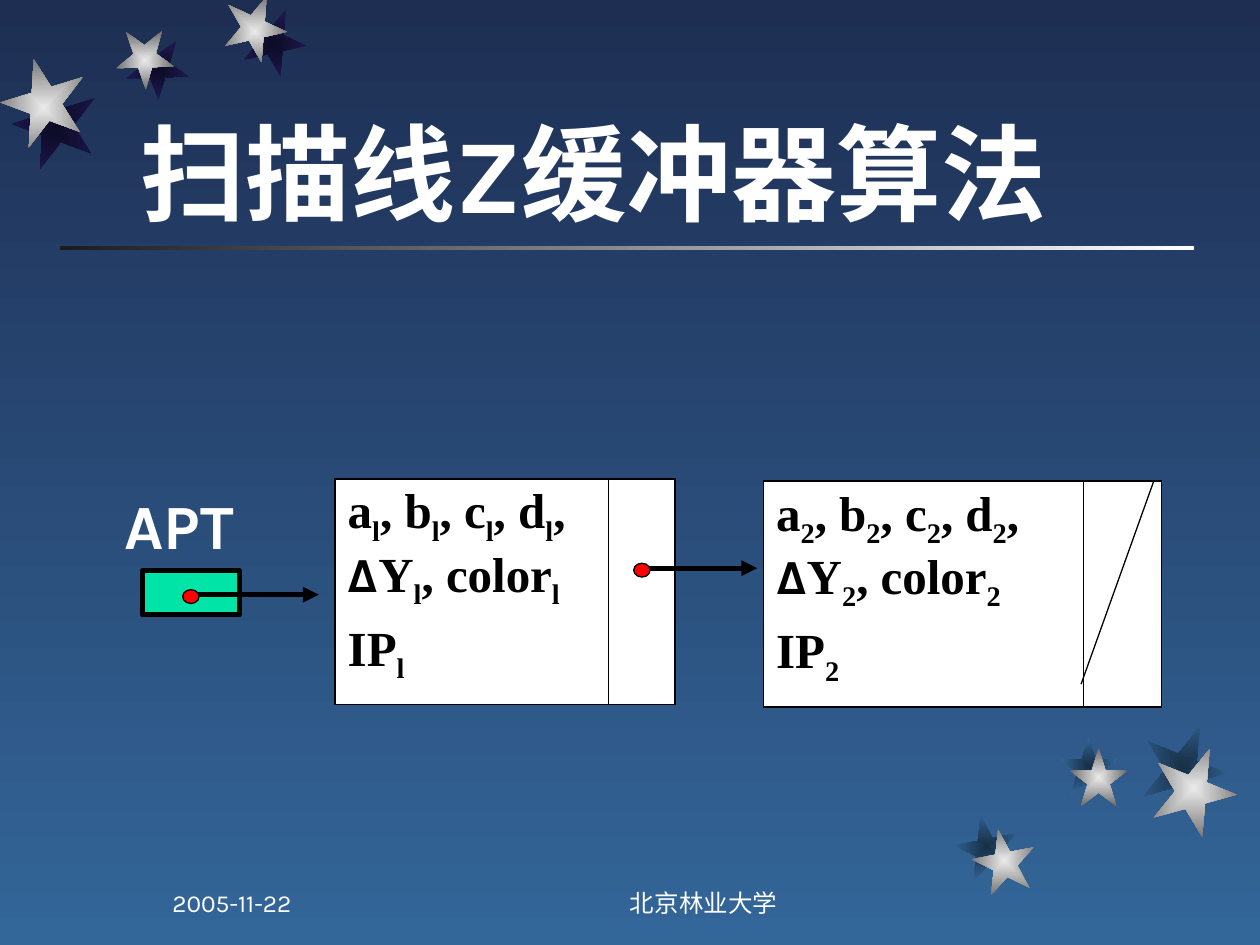
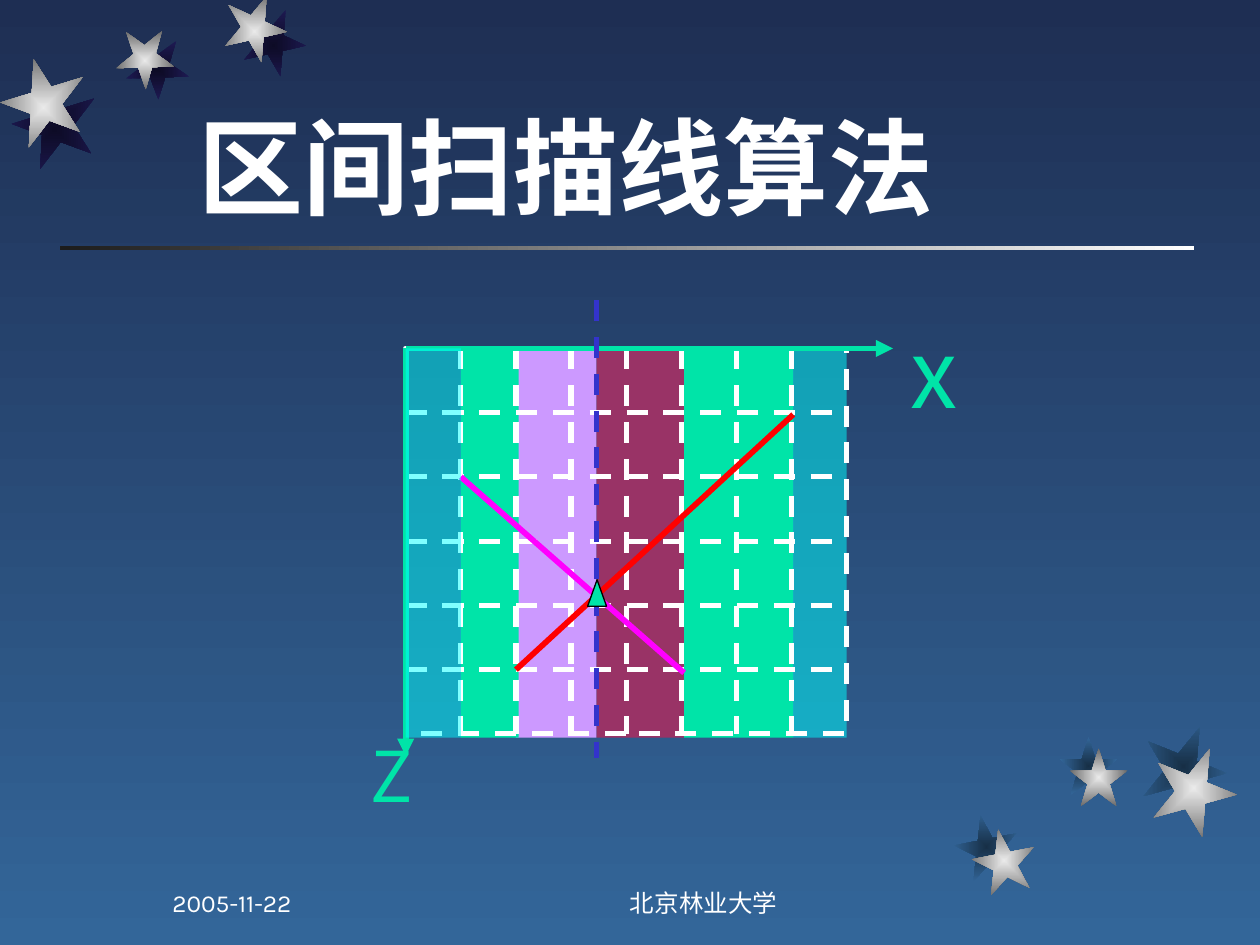
from typing import NamedTuple

from lxml import etree
from pptx import Presentation
from pptx import util as u
from pptx.dml.color import RGBColor
from pptx.enum import dml, shapes, text
from pptx.oxml import ns

COLUMNS, ROWS = 100, 75
UNIT = u.Inches(10) // COLUMNS

WHITE, BLACK = "FFFFFF", "000000"
GREEN, CYAN, PURPLE, CRIMSON = "00E4A8", "00FFFF", "CC99FF", "993366"
RED, MAGENTA, BLUE = "FF0000", "FF00FF", "3333CC"
SKY = ("1E2E53", "336699")
SILVER = ("EAEAEA", "6B6B6B")
NIGHT_SHADE = ("0D0B26", "1E1A53")
DUSK_SHADE = ("172F46", "336699")
BODY, SERIF, CJK = "Karla", "Times New Roman", "Noto Sans CJK SC"


class Box(NamedTuple):
    """Left, top, width and height in grid units of the slide."""
    x: float
    y: float
    w: float
    h: float

    def inner(self, dx, dy, w, h):
        return Box(self.x + dx, self.y + dy, w, h)

    def lengths(self):
        return [grid(value) for value in self]


def grid(value):
    return round(value * UNIT)


def colour(code):
    return RGBColor.from_string(code)


def add_xml(parent, tag, **attributes):
    return etree.SubElement(parent, ns.qn(tag), attributes)


def shade(fill, colours, angle):
    fill.gradient()
    fill.gradient_angle = angle
    for stop, code, position in zip(fill.gradient_stops, colours, (0, 1)):
        stop.color.rgb = colour(code)
        stop.position = position


def shade_from_centre(shape, colours):
    shade(shape.fill, colours, 0)
    linear = shape._element.spPr.find(".//" + ns.qn("a:lin"))
    gradient = linear.getparent()
    gradient.remove(linear)
    centre = add_xml(gradient, "a:path", path="rect")
    add_xml(centre, "a:fillToRect", l="50000", t="50000", r="50000", b="50000")


def add_shape(page, kind, box, fill=None, line=None, width=0.75, dash=False,
              opacity=None, rotation=0):
    shape = page.shapes.add_shape(kind, *box.lengths())
    shape.shadow.inherit = False
    shape.rotation = rotation
    if fill:
        shape.fill.solid()
        shape.fill.fore_color.rgb = colour(fill)
    else:
        shape.fill.background()
    if opacity:
        tint = shape._element.spPr.find(".//" + ns.qn("a:srgbClr"))
        add_xml(tint, "a:alpha", val=str(opacity * 1000))
    if line:
        draw_line(shape.line, line, width, dash)
    else:
        shape.line.fill.background()
    return shape


def draw_line(line, code, width, dash):
    line.color.rgb = colour(code)
    line.width = u.Pt(width)
    if dash:
        line.dash_style = dml.MSO_LINE.DASH


def add_line(page, start, end, code=BLACK, width=3, dash=False, arrow=False):
    connector = page.shapes.add_connector(
        shapes.MSO_CONNECTOR.STRAIGHT, *map(grid, (*start, *end)))
    draw_line(connector.line, code, width, dash)
    properties = connector._element.spPr
    if arrow:
        add_xml(properties.find(ns.qn("a:ln")), "a:tailEnd", type="triangle")
    add_xml(properties, "a:effectLst")


def add_span(para, content, size, font=BODY, code=WHITE, bold=False, lowered=False):
    span = para.add_run()
    span.text = content
    span.font.size = u.Pt(size)
    span.font.name = font
    span.font.bold = bold
    span.font.color.rgb = colour(code)
    properties = span.font._element
    add_xml(properties, "a:ea", typeface=CJK)
    if lowered:
        properties.set("baseline", "-25000")


def add_text(page, box, content, size, anchor=text.MSO_ANCHOR.TOP,
             align=text.PP_ALIGN.LEFT, margins=True, wrap=True, **style):
    frame = page.shapes.add_textbox(*box.lengths()).text_frame
    frame.word_wrap = wrap
    frame.vertical_anchor = anchor
    if not margins:
        frame.margin_left = frame.margin_right = 0
        frame.margin_top = frame.margin_bottom = 0
    para = frame.paragraphs[0]
    para.alignment = align
    add_span(para, content, size, **style)


def add_stars(page, stars, shadows, shadow_colours):
    for group, colours in ((shadows, shadow_colours), (stars, SILVER)):
        for *place, rotation in group:
            star = add_shape(page, shapes.MSO_SHAPE.STAR_5_POINT, Box(*place),
                             rotation=rotation)
            shade_from_centre(star, colours)


def add_frame(deck, title, title_box):
    """Add a page with the shared background, stars, rule, title and footers."""
    page = deck.slides.add_slide(deck.slide_layouts[6])
    shade(page.background.fill, SKY, 270)
    rule = add_shape(page, shapes.MSO_SHAPE.RECTANGLE, Box(4.8, 19.5, 90, 0.35))
    shade(rule.fill, (WHITE, "1C1C1C"), 180)
    add_stars(page,
              [(17.7, 0, 5, 5, 167.3), (9.2, 2.5, 4.6, 4.6, 178.3),
               (0.1, 5.2, 6.7, 6.7, 200.3)],
              [(19.2, 1.1, 5, 5, 167.3), (10, 3.3, 5, 4.6, 178.3),
               (1, 6.9, 6.7, 6.7, 200.3)], NIGHT_SHADE)
    add_stars(page,
              [(77.2, 65.8, 5, 5, 349), (84.9, 59.4, 4.6, 4.6, 0),
               (91.4, 59.2, 6.7, 6.7, 22)],
              [(75.8, 64.7, 5, 5, 349), (84.1, 58.5, 4.6, 4.6, 0),
               (90.6, 57.5, 6.7, 6.7, 22)], DUSK_SHADE)
    bottom = text.MSO_ANCHOR.BOTTOM
    add_text(page, title_box, title, 60, anchor=bottom, bold=True)
    add_text(page, Box(40, 68.3, 31.7, 5), "北京林业大学", 14, anchor=bottom,
             align=text.PP_ALIGN.CENTER)
    add_text(page, Box(12.7, 68.3, 20.8, 5), "2005-11-22", 14, anchor=bottom)
    return page


def style_cell(cell, thin_side):
    properties = cell._tc.get_or_add_tcPr()
    for side in "LRTB":
        width = u.Pt(0.45 if side == thin_side else 1.08)
        border = add_xml(properties, f"a:ln{side}", w=str(width))
        add_xml(add_xml(border, "a:solidFill"), "a:srgbClr", val=BLACK)
    cell.fill.solid()
    cell.fill.fore_color.rgb = colour(WHITE)


def add_record(page, box, index, link_width):
    """Add a polygon record: its fields, and a cell for the link to the next."""
    table = page.shapes.add_table(1, 2, *box.lengths()).table
    table.first_row = table.horz_banding = False
    table.columns[0].width = grid(box.w - link_width)
    table.columns[1].width = grid(link_width)
    fields, link = table.rows[0].cells
    style_cell(fields, "R")
    style_cell(link, "L")
    # Every second piece is a subscript.
    lines = ("a|#|, b|#|, c|#|, d|#|, ||Δ||Y|#|, color|#", "IP|#")
    frame = fields.text_frame
    for number, line in enumerate(lines):
        para = frame.add_paragraph() if number else frame.paragraphs[0]
        if number:
            para.space_before = u.Pt(7)
        for place, piece in enumerate(line.replace("#", index).split("|")):
            if piece:
                add_span(para, piece, 28, font=BODY if piece == "Δ" else SERIF,
                         code=BLACK, bold=True, lowered=place % 2 == 1)


def add_pointer(page, box):
    middle = box.y + 0.4
    add_line(page, (box.x + 1, middle), (box.x + box.w, middle), arrow=True)
    add_shape(page, shapes.MSO_SHAPE.OVAL, box.inner(0, 0, 1.3, box.h), RED, BLACK)


def add_polygon_list(page, box):
    add_record(page, box.inner(17.7, 0, 27, 17.9), "l", 5.3)
    add_text(page, box.inner(0, 0.1, 17, 7), "APT", 36, bold=True)
    add_shape(page, shapes.MSO_SHAPE.RECTANGLE, box.inner(2.4, 7.3, 7.7, 3.5),
              GREEN, BLACK, 3)
    add_pointer(page, box.inner(5.6, 8.8, 10.8, 1.1))
    add_pointer(page, box.inner(41.4, 6.7, 9.8, 1.1))
    last = box.inner(51.7, 0.2, 31.6, 17.9)
    add_record(page, last, "2", 6.2)
    add_line(page, (last.x + 31, last.y - 0.1), (last.x + 25.2, last.y + 16.1),
             width=0.75)


def add_interval_diagram(page, box, columns=8, rows=6):
    """Draw bands and two crossing segments on a dashed grid filling the box."""
    column, row = box.w / columns, box.h / rows
    crossing = 3.46

    def at(across, down):
        return box.x + across * column, box.y + down * row

    def add_band(start, end, code, opacity=None):
        band = Box(*at(start, 0), (end - start) * column, box.h + 0.3)
        add_shape(page, shapes.MSO_SHAPE.RECTANGLE, band, code, opacity=opacity)

    add_band(crossing, 5.05, CRIMSON)
    add_band(2, crossing, PURPLE)
    add_band(1, 2.05, GREEN)
    add_band(5.05, 7.03, GREEN)
    add_band(7.03, columns, CYAN, 50)

    dashed = {"code": WHITE, "dash": True}
    add_shape(page, shapes.MSO_SHAPE.RECTANGLE, box, line=WHITE, width=3, dash=True)
    for down in range(1, rows):
        add_line(page, at(0, down), at(columns, down), **dashed)
    for across in range(1, columns):
        add_line(page, at(across, 0), at(across, rows), **dashed)

    label = {"font": CJK, "code": GREEN, "margins": False, "wrap": False}
    add_text(page, box.inner(-2.8, 30.5, 3.2, 6.7), "Z", 40, **label)
    add_text(page, box.inner(40.1, -2.7, 4, 9), "x", 54, **label)
    for end in (at(0, 6.34), at(8.84, 0)):
        add_line(page, at(0, 0), end, GREEN, 3.25, arrow=True)
    add_line(page, at(1, 2), at(5.05, 5.05), MAGENTA, 3.25)
    add_line(page, at(2, 5), at(7.03, 1.03), RED, 3.25)
    add_band(0, 1, CYAN, 50)
    add_line(page, at(crossing, -0.75), at(crossing, 6.38), BLUE, dash=True)
    marker = Box(*at(crossing, 3.6), 1.5, 2.1).inner(-0.7, 0, 1.5, 2.1)
    add_shape(page, shapes.MSO_SHAPE.ISOSCELES_TRIANGLE, marker, GREEN, BLACK)


def main():
    deck = Presentation()
    deck.slide_width, deck.slide_height = COLUMNS * UNIT, ROWS * UNIT
    page = add_frame(deck, "扫描线Z缓冲器算法", Box(10.2, 3.1, 85.2, 16))
    add_polygon_list(page, Box(8.9, 38, 83.3, 18.1))
    page = add_frame(deck, "区间扫描线算法", Box(14.8, 2.6, 70.1, 16))
    add_interval_diagram(page, Box(32.2, 27.65, 35, 30.6))
    deck.save("out.pptx")


if __name__ == "__main__":
    main()
